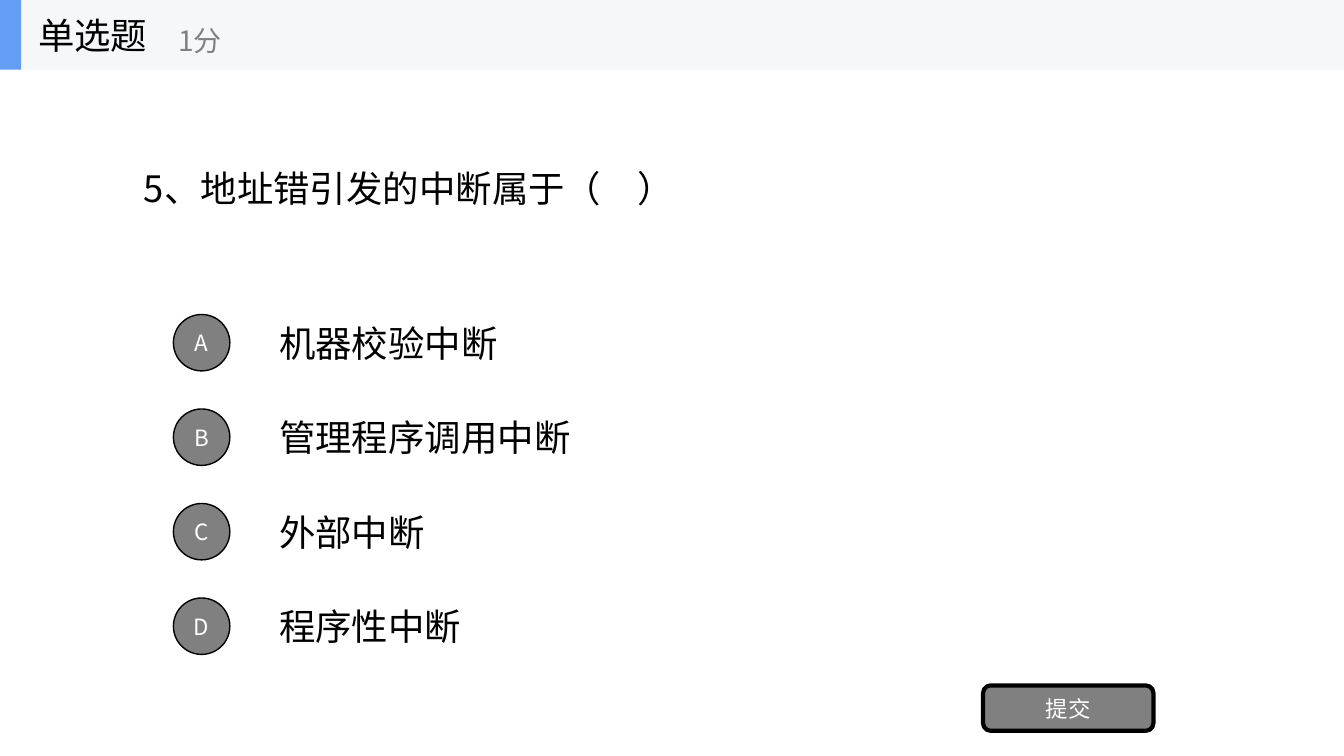
from dataclasses import dataclass

from lxml.etree import SubElement
from pptx import Presentation
from pptx.dml.color import RGBColor
from pptx.enum.shapes import MSO_SHAPE as Preset
from pptx.enum.text import MSO_ANCHOR as Anchor, PP_ALIGN as Align
from pptx.oxml.ns import qn
from pptx.util import Inches, Pt


@dataclass(frozen=True)
class Theme:
    font: str = "Noto Sans CJK SC"
    ink: str = "000000"
    paper: str = "FFFFFF"
    grey: str = "808080"
    band: str = "F6F7F8"
    accent: str = "639EF4"
    body_size: int = 26
    points_size: int = 20
    button_size: int = 16


THEME = Theme()
OPTIONS = ["机器校验中断", "管理程序调用中断", "外部中断", "程序性中断"]


def write(shape, text, size, color, align=Align.LEFT, wrap=True):
    frame = shape.text_frame
    for name, value in {"word_wrap": wrap, "vertical_anchor": Anchor.MIDDLE}.items():
        setattr(frame, name, value)
    paragraph = frame.paragraphs[0]
    paragraph.alignment = align
    run = paragraph.add_run()
    run.text = text
    for name, value in {"size": Pt(size), "name": THEME.font}.items():
        setattr(run.font, name, value)
    run.font.color.rgb = RGBColor.from_string(color)
    # East Asian characters take their font from a separate element.
    SubElement(run.font._element, qn("a:ea"), typeface=THEME.font)


def add_text(shapes, box, text, size=THEME.body_size, color=THEME.ink, wrap=True):
    write(shapes.add_textbox(*map(Inches, box)), text, size, color, wrap=wrap)


def add_block(shapes, preset, box, fill, line_width=0):
    shape = shapes.add_shape(preset, *map(Inches, box))
    shape.shadow.inherit = False
    shape.fill.solid()
    shape.fill.fore_color.rgb = RGBColor.from_string(fill)
    if line_width:
        shape.line.color.rgb = RGBColor.from_string(THEME.ink)
        shape.line.width = Pt(line_width)
    else:
        shape.line.fill.background()
    return shape


def add_button(shapes, preset, box, text, line_width):
    button = add_block(shapes, preset, box, THEME.grey, line_width)
    for side in ("left", "right", "top", "bottom"):
        setattr(button.text_frame, f"margin_{side}", 0)
    write(button, text, THEME.button_size, THEME.paper, Align.CENTER)


def add_header(slide, box, title, points):
    left, top, width, height = box
    shapes = slide.shapes.add_group_shape().shapes
    add_block(shapes, Preset.RECTANGLE, box, THEME.band)
    add_block(shapes, Preset.RECTANGLE, (left, top, 0.21, height), THEME.accent)
    add_text(shapes, (left + 0.28, top, 2.08, height), title, wrap=False)
    add_text(shapes, (left + 1.67, top + 0.12, 2.5, 0.56), points,
             THEME.points_size, THEME.grey, wrap=False)


def add_options(slide, box, options):
    """Stack lettered options evenly down the box."""
    left, top, width, height = box
    pitch, row_height, circle, indent = height / len(options), 0.7, 0.56, 0.95
    for index, option in enumerate(options):
        row_top = top + index * pitch
        circle_top = row_top + (row_height - circle) / 2
        add_button(slide.shapes, Preset.OVAL, (left, circle_top, circle, circle),
                   "ABCD"[index], 1)
        add_text(slide.shapes, (left + indent, row_top, width - indent, row_height), option)


def main():
    presentation = Presentation()
    presentation.slide_width, presentation.slide_height = Inches(13.33), Inches(7.5)
    slide = presentation.slides.add_slide(presentation.slide_layouts[6])
    add_header(slide, (0, 0, 13.33, 0.69), "单选题", "1分")
    add_text(slide.shapes, (1.33, 0.69, 10.67, 2.34), "5、地址错引发的中断属于（　）")
    add_options(slide, (1.72, 3.05, 10.28, 3.75), OPTIONS)
    add_button(slide.shapes, Preset.ROUNDED_RECTANGLE, (9.75, 6.8, 1.69, 0.45), "提交", 3)
    presentation.save("out.pptx")


if __name__ == "__main__":
    main()
